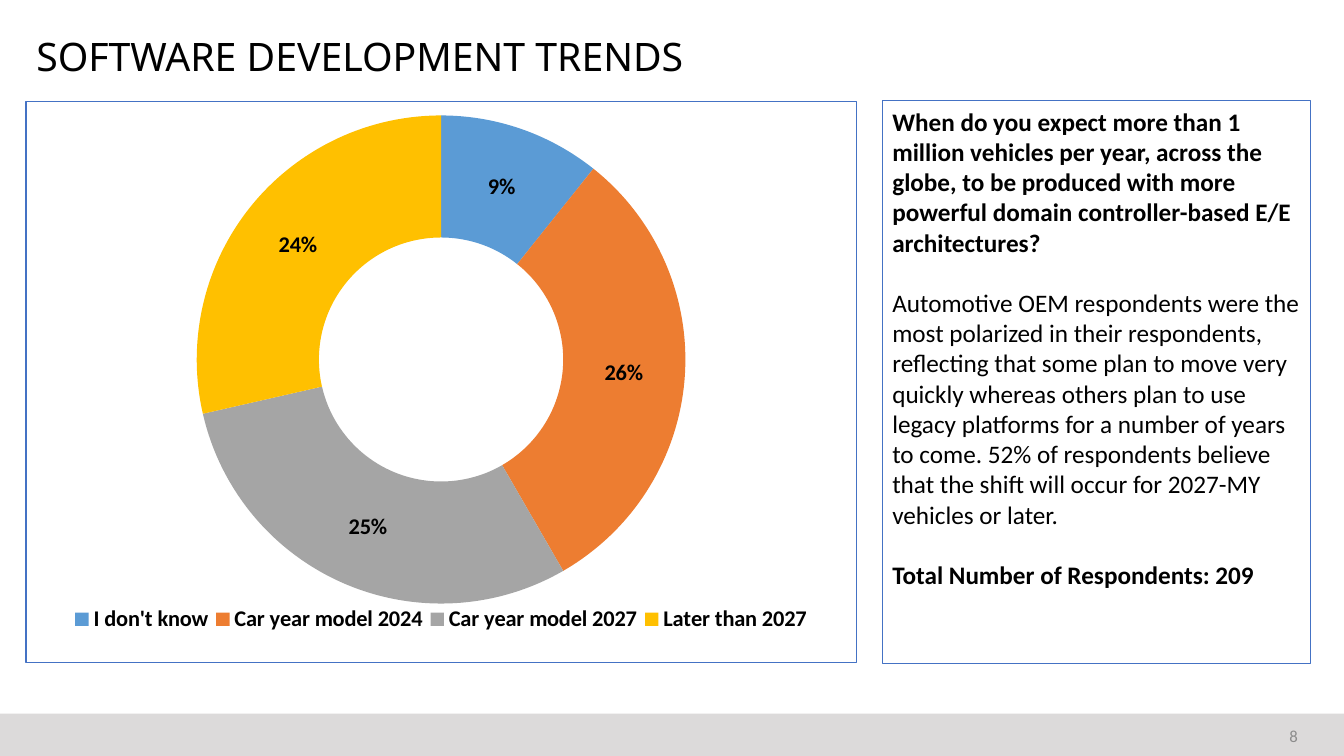
from lxml import etree
from pptx import Presentation
from pptx.chart.data import CategoryChartData
from pptx.dml.color import RGBColor
from pptx.enum.chart import XL_CHART_TYPE, XL_LEGEND_POSITION
from pptx.enum.shapes import MSO_SHAPE
from pptx.enum.text import MSO_ANCHOR, MSO_AUTO_SIZE, PP_ALIGN
from pptx.oxml import parse_xml
from pptx.oxml.ns import nsdecls, qn
from pptx.util import Inches, Pt

TITLE = "SOFTWARE DEVELOPMENT TRENDS"
PAGE_NUMBER = "8"
ANSWERS = {
    "I don't know": 0.09,
    "Car year model 2024": 0.26,
    "Car year model 2027": 0.25,
    "Later than 2027": 0.24,
}
COMMENTARY = [  # text, bold
    ("When do you expect more than 1 million vehicles per year, across the globe, "
     "to be produced with more powerful domain controller-based E/E architectures?", True),
    ("Automotive OEM respondents were the most polarized in their respondents, "
     "reflecting that some plan to move very quickly whereas others plan to use "
     "legacy platforms for a number of years to come. 52% of respondents believe "
     "that the shift will occur for 2027-MY vehicles or later.", False),
    ("Total Number of Respondents: 209", True),
]

THEME = {
    "heading_font": "Noto Sans", "body_font": "Calibri",
    "title": 28, "body": 18, "chart": 16, "page": 12,
    "text": "000000", "muted": "8C8C8C", "panel": "FFFFFF",
    "border": "4472C4", "footer": "DCDADA",
    "slices": ["5B9BD5", "ED7D31", "A5A5A5", "FFC000"],
}

SLIDE_W, SLIDE_H = 13.33, 7.5
FOOTER_H = 0.42
PANEL_TOP, PANEL_H, PANEL_GAP = 1, 5.58, 0.25
CHART_W, COMMENTARY_W = 8.25, 4.25
# Fractions of the chart frame: x, y, width, height
RING_AREA = (0.2, 0.025, 0.6, 0.87)
LEGEND_AREA = (0.05, 0.893, 0.9, 0.06)


def box(left, top, width, height):
    return [Inches(length) for length in (left, top, width, height)]


def place(shape, *bounds):
    shape.left, shape.top, shape.width, shape.height = box(*bounds)


def style(font, size, color=THEME["text"], name=THEME["body_font"], bold=False):
    formats = {"size": Pt(size), "name": name, "bold": bold}
    for attribute, value in formats.items():
        setattr(font, attribute, value)
    font.color.rgb = RGBColor.from_string(color)


def paint(fill, color):
    fill.solid()
    fill.fore_color.rgb = RGBColor.from_string(color)


def set_layout(parent, index, area, inner=False):
    """Fix the place of a chart part as fractions of the chart frame."""
    for previous in parent.findall(qn("c:layout")):
        parent.remove(previous)
    layout = parse_xml(f"<c:layout {nsdecls('c')}><c:manualLayout/></c:layout>")
    settings = {"layoutTarget": "inner"} if inner else {}
    settings.update(xMode="edge", yMode="edge")
    settings.update(zip("xywh", map(str, area)))
    for tag, value in settings.items():
        etree.SubElement(layout[0], qn(f"c:{tag}"), val=value)
    parent.insert(index, layout)


def add_footer(slide):
    bar = slide.shapes.add_shape(
        MSO_SHAPE.RECTANGLE, *box(0, SLIDE_H - FOOTER_H, SLIDE_W, FOOTER_H))
    bar.shadow.inherit = False
    paint(bar.fill, THEME["footer"])
    bar.line.fill.background()
    page = slide.shapes.add_textbox(*box(9.97, 7.1, 3, 0.4)).text_frame
    page.word_wrap = True
    page.vertical_anchor = MSO_ANCHOR.MIDDLE
    number = page.paragraphs[0]
    number.alignment = PP_ALIGN.RIGHT
    number.text = PAGE_NUMBER
    style(number.runs[0].font, THEME["page"], THEME["muted"])


def add_title(slide):
    title = slide.shapes.title
    place(title, 0.26, 0.23, 12.7, 0.71)
    frame = title.text_frame
    frame.text = TITLE
    frame.vertical_anchor = MSO_ANCHOR.MIDDLE
    frame.auto_size = MSO_AUTO_SIZE.NONE
    heading = frame.paragraphs[0]
    heading.alignment = PP_ALIGN.LEFT
    heading.line_spacing = 0.9
    style(heading.runs[0].font, THEME["title"], name=THEME["heading_font"])


def add_answers_chart(slide):
    answers = CategoryChartData(number_format="0%")
    answers.categories = list(ANSWERS)
    answers.add_series("Series 1", list(ANSWERS.values()))
    chart = slide.shapes.add_chart(
        XL_CHART_TYPE.DOUGHNUT, *box(PANEL_GAP, PANEL_TOP, CHART_W, PANEL_H), answers).chart
    chart.has_title = False
    style(chart.font, THEME["chart"], bold=True)
    ring = chart.plots[0]
    ring.vary_by_categories = True
    for position, color in enumerate(THEME["slices"]):
        paint(ring.series[0].points[position].format.fill, color)
    ring.has_data_labels = True
    label_formats = {"show_value": True, "show_percentage": False,
                     "number_format": "0%", "number_format_is_linked": False}
    for attribute, value in label_formats.items():
        setattr(ring.data_labels, attribute, value)
    chart.has_legend = True
    chart.legend.position = XL_LEGEND_POSITION.BOTTOM
    chart.legend.include_in_layout = False

    chart_xml = chart.element.find(qn("c:chart"))
    set_layout(chart_xml.find(qn("c:plotArea")), 0, RING_AREA, inner=True)
    set_layout(chart_xml.find(qn("c:legend")), 1, LEGEND_AREA)
    chart_xml.addnext(parse_xml(
        f'<c:spPr {nsdecls("c", "a")}>'
        f'<a:solidFill><a:srgbClr val="{THEME["panel"]}"/></a:solidFill>'
        f'<a:ln w="{Pt(1)}"><a:solidFill><a:srgbClr val="{THEME["border"]}"/>'
        '</a:solidFill></a:ln></c:spPr>'))


def add_commentary(slide):
    panel = slide.placeholders[1]
    place(panel, CHART_W + 2 * PANEL_GAP, PANEL_TOP, COMMENTARY_W, PANEL_H)
    paint(panel.fill, THEME["panel"])
    panel.line.color.rgb = RGBColor.from_string(THEME["border"])
    panel.line.width = Pt(1)
    frame = panel.text_frame
    frame.auto_size = MSO_AUTO_SIZE.NONE
    frame.vertical_anchor = MSO_ANCHOR.TOP
    frame.text = "\n".join(text for text, _ in COMMENTARY)
    for position, (paragraph, (_, bold)) in enumerate(zip(frame.paragraphs, COMMENTARY)):
        paragraph.line_spacing = 1.0
        paragraph.space_before = Pt(1.2 * THEME["body"] if position else 0)
        properties = paragraph.runs[0].font
        style(properties, THEME["body"], bold=bold)
        indents = paragraph._p.get_or_add_pPr()
        indents.set("marL", "0")
        indents.set("indent", "0")
        etree.SubElement(indents, qn("a:buNone"))


def main():
    deck = Presentation()
    deck.slide_width, deck.slide_height = Inches(SLIDE_W), Inches(SLIDE_H)
    slide = deck.slides.add_slide(deck.slide_layouts[1])
    add_footer(slide)
    add_title(slide)
    add_answers_chart(slide)
    add_commentary(slide)
    deck.save("out.pptx")


if __name__ == "__main__":
    main()
